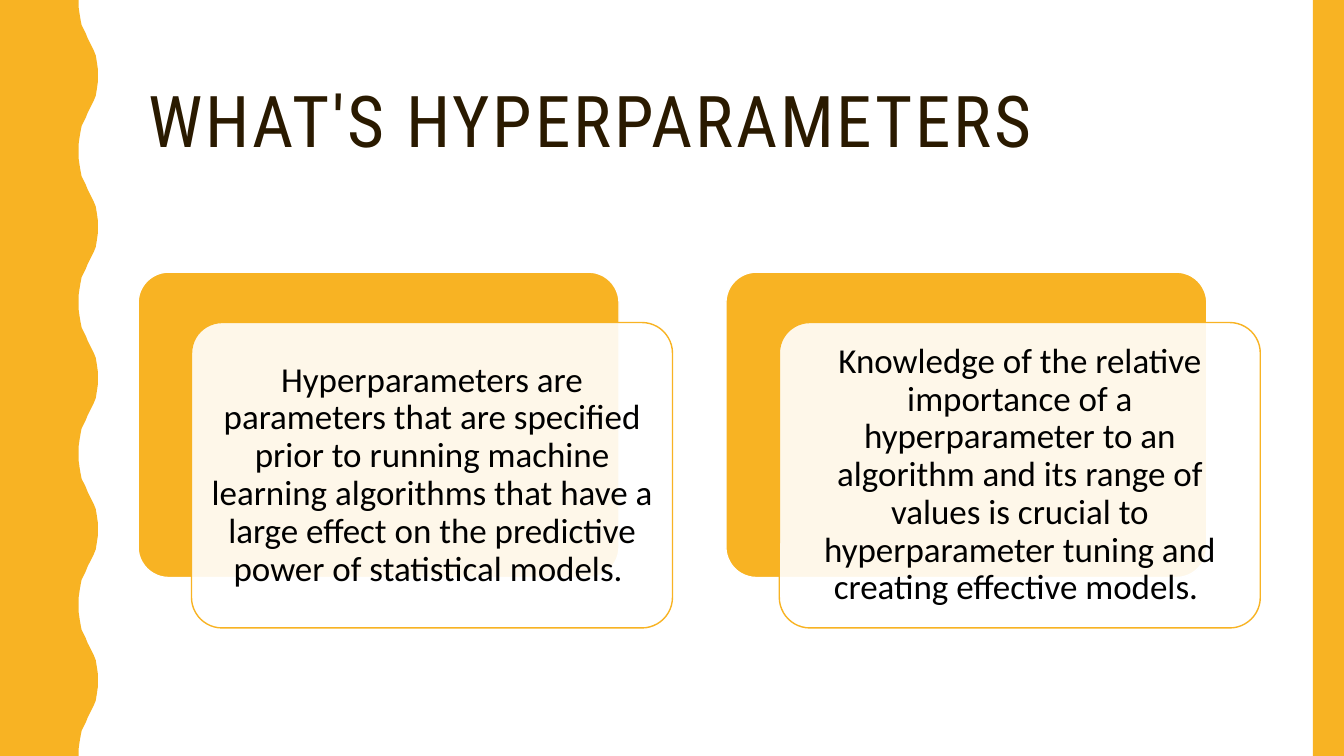
"""Build the hyperparameters slide with a wavy left edge and two layered cards."""
from dataclasses import dataclass

from lxml import etree
from pptx import Presentation
from pptx.dml.color import RGBColor
from pptx.enum.shapes import MSO_SHAPE
from pptx.enum.text import MSO_ANCHOR, MSO_AUTO_SIZE, PP_ALIGN
from pptx.oxml.ns import qn
from pptx.util import Inches, Pt

RECTANGLE, ROUNDED = MSO_SHAPE.RECTANGLE, MSO_SHAPE.ROUNDED_RECTANGLE
LEFT, CENTER = PP_ALIGN.LEFT, PP_ALIGN.CENTER
MIDDLE, NO_AUTOFIT = MSO_ANCHOR.MIDDLE, MSO_AUTO_SIZE.NONE

TITLE = "WHAT'S HYPERPARAMETERS"
STATEMENTS = [
    "Hyperparameters are parameters that are specified prior to running machine "
    "learning algorithms that have a large effect on the predictive power of "
    "statistical models. ",
    "Knowledge of the relative importance of a hyperparameter to an algorithm and "
    "its range of values is crucial to hyperparameter tuning and creating "
    "effective models. ",
]


@dataclass(frozen=True)
class Theme:
    accent: RGBColor = RGBColor(0xF8, 0xB3, 0x23)
    paper: RGBColor = RGBColor(0xFF, 0xFF, 0xFF)
    title_ink: RGBColor = RGBColor(0x2A, 0x1A, 0x00)
    body_ink: RGBColor = RGBColor(0x00, 0x00, 0x00)
    title_font: str = "Roboto Condensed"
    body_font: str = "Calibri"
    title_size: float = 51
    body_size: float = 25
    letter_spacing: int = 200
    line_spacing: float = 0.9
    card_opacity: int = 90


THEME = Theme()
SLIDE_W, SLIDE_H = 13.33, 7.5
TITLE_BOX = (1.37, 0.42, 11.13, 1.63)
STRIPE_W = 0.31
WAVE_COUNT, WAVE_PERIOD = 5, 1.5
HALF_WAVE = [
    (0.78, 0), (0.78, 0.07), (0.79, 0.14), (0.8, 0.2), (0.81, 0.25),
    (0.83, 0.29), (0.85, 0.33), (0.87, 0.38), (0.89, 0.42), (0.91, 0.46),
    (0.93, 0.5), (0.95, 0.55), (0.96, 0.61), (0.97, 0.68), (0.97, 0.75),
]
CARD_LEFT, CARD_TOP, CARD_W, CARD_H = 1.37, 2.7, 4.77, 3.03
CARD_PITCH, FRONT_DX, FRONT_DY = 5.83, 0.53, 0.5
CARD_INSET = 0.1


def paint(shape, fill, line=None):
    shape.shadow.inherit = False
    shape.fill.solid()
    shape.fill.fore_color.rgb = fill
    if line is None:
        shape.line.fill.background()
    else:
        shape.line.color.rgb = line
        shape.line.width = Pt(1)


def add_block(slide, preset, box, fill, line=None):
    block = slide.shapes.add_shape(preset, *map(Inches, box))
    paint(block, fill, line)
    return block


def set_text(frame, wording, font_name, size, ink, align):
    frame.text = wording
    frame.word_wrap = True
    frame.auto_size = NO_AUTOFIT
    frame.vertical_anchor = MIDDLE
    paragraph = frame.paragraphs[0]
    paragraph.alignment = align
    paragraph.line_spacing = THEME.line_spacing
    font = paragraph.runs[0].font
    font.name, font.size, font.color.rgb = font_name, Pt(size), ink


def add_title(slide):
    title = slide.shapes.title
    title.left, title.top, title.width, title.height = map(Inches, TITLE_BOX)
    set_text(title.text_frame, TITLE, THEME.title_font, THEME.title_size,
             THEME.title_ink, LEFT)
    run = title.text_frame.paragraphs[0].runs[0]
    run.font._element.set("spc", str(THEME.letter_spacing))


def add_wavy_edge(slide):
    falling = [(x, WAVE_PERIOD - y) for x, y in reversed(HALF_WAVE[:-1])]
    crest = [(x, y + wave * WAVE_PERIOD)
             for wave in range(WAVE_COUNT) for x, y in HALF_WAVE + falling]
    outline = [(Inches(x), Inches(y)) for x, y in crest + [(0, SLIDE_H)]]
    builder = slide.shapes.build_freeform(0, 0)
    builder.add_line_segments(outline, close=True)
    paint(builder.convert_to_shape(), THEME.accent)


def add_card(slide, column, statement):
    left = CARD_LEFT + column * CARD_PITCH
    back = add_block(slide, ROUNDED, (left, CARD_TOP, CARD_W, CARD_H),
                     THEME.accent, THEME.paper)
    front = add_block(slide, ROUNDED,
                      (left + FRONT_DX, CARD_TOP + FRONT_DY, CARD_W, CARD_H),
                      THEME.paper, THEME.accent)
    for layer in (back, front):
        layer.adjustments[0] = 0.1
    color = front._element.spPr.find(qn("a:solidFill"))[0]
    etree.SubElement(color, qn("a:alpha"), val=str(THEME.card_opacity * 1000))
    frame = front.text_frame
    frame.margin_left = frame.margin_right = Inches(CARD_INSET)
    frame.margin_top = frame.margin_bottom = Inches(CARD_INSET)
    set_text(frame, statement, THEME.body_font, THEME.body_size,
             THEME.body_ink, CENTER)


def main():
    deck = Presentation()
    deck.slide_width, deck.slide_height = Inches(SLIDE_W), Inches(SLIDE_H)
    slide = deck.slides.add_slide(deck.slide_layouts[5])
    slide.background.fill.solid()
    slide.background.fill.fore_color.rgb = THEME.paper
    add_title(slide)
    add_wavy_edge(slide)
    add_block(slide, RECTANGLE, (SLIDE_W - STRIPE_W, 0, STRIPE_W, SLIDE_H),
              THEME.accent)
    for column, statement in enumerate(STATEMENTS):
        add_card(slide, column, statement)
    deck.save("out.pptx")


if __name__ == "__main__":
    main()
